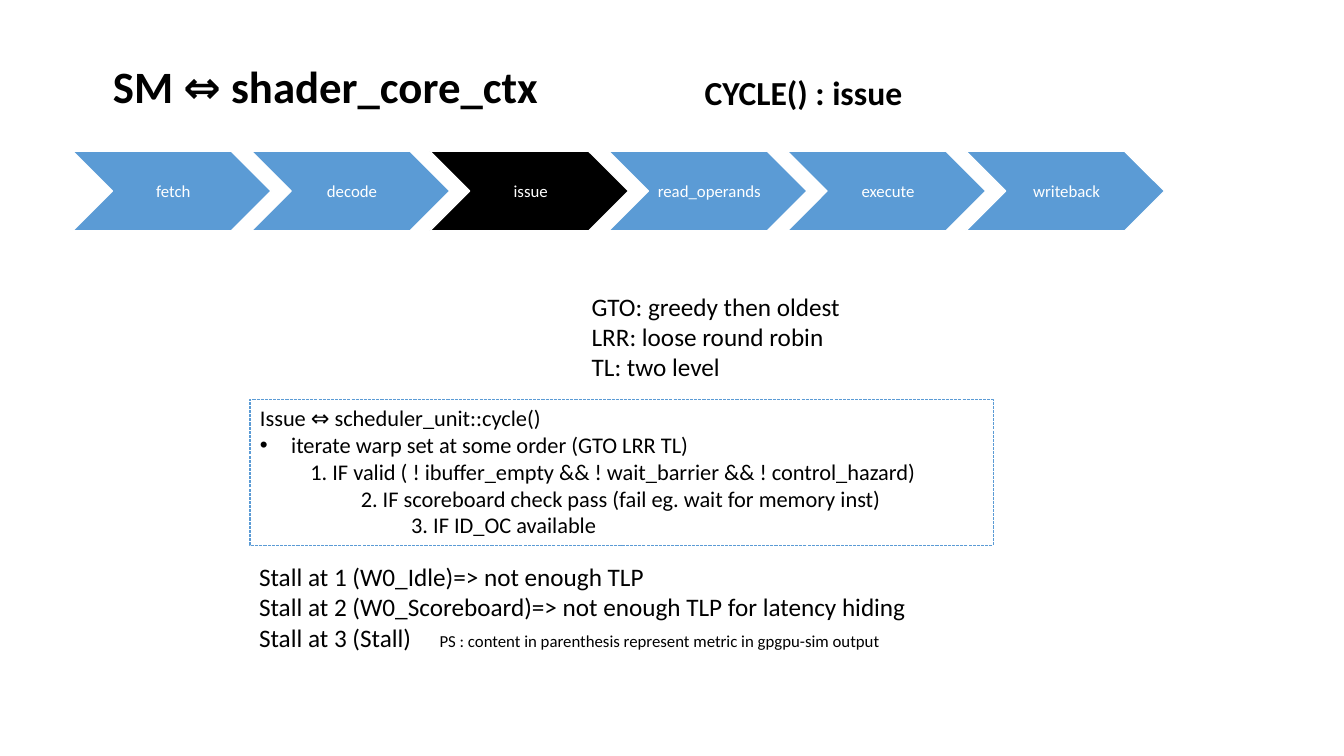
from pptx import Presentation, util as u
from pptx.dml.color import RGBColor
from pptx.enum import dml, shapes, text
from pptx.oxml.ns import qn
from lxml import etree

BLACK = RGBColor(0x00, 0x00, 0x00)
WHITE = RGBColor(0xFF, 0xFF, 0xFF)
BLUE = RGBColor(0x5B, 0x9B, 0xD5)
FONT = "Calibri"

STAGES = ["fetch", "decode", "issue", "read_operands", "execute", "writeback"]
CURRENT_STAGE = "issue"
POLICIES = ["GTO: greedy then oldest", "LRR: loose round robin", "TL: two level"]
# Each step: text, left margin in inches, whether it has a bullet
SCHEDULER_STEPS = [
    ("Issue ⇔ scheduler_unit::cycle()", 0, False),
    ("iterate warp set at some order (GTO LRR TL)", 0.31, True),
    ("1. IF valid ( ! ibuffer_empty && ! wait_barrier && ! control_hazard)", 0.5, False),
    ("2. IF scoreboard check pass (fail eg. wait for memory inst)", 1, False),
    ("3. IF ID_OC available", 1.5, False),
]
STALLS = [
    "Stall at 1 (W0_Idle)=> not enough TLP",
    "Stall at 2 (W0_Scoreboard)=> not enough TLP for latency hiding",
    "Stall at 3 (Stall)",
]
STALL_NOTE = "PS : content in parenthesis represent metric in gpgpu-sim output"


def place(sp, box):
    sp.left, sp.top, sp.width, sp.height = map(u.Inches, box)


def add_run(p, content, size=18, color=BLACK, bold=False):
    r = p.add_run()
    r.text = content
    r.font.name = FONT
    r.font.size = u.Pt(size)
    r.font.bold = bold
    r.font.color.rgb = color


def write(sp, lines, align=text.PP_ALIGN.LEFT, anchor=text.MSO_ANCHOR.TOP,
          insets=(0.1, 0.05, 0.1, 0.05), **font):
    """Fill a shape with one paragraph per line and return the paragraphs."""
    tf = sp.text_frame
    tf.word_wrap = True
    tf.auto_size = text.MSO_AUTO_SIZE.NONE
    tf.vertical_anchor = anchor
    tf.margin_left, tf.margin_top, tf.margin_right, tf.margin_bottom = map(u.Inches, insets)
    for i, line in enumerate(lines):
        p = tf.paragraphs[0] if i == 0 else tf.add_paragraph()
        p.alignment = align
        add_run(p, line, **font)
    return tf.paragraphs


def add_text(s, box, lines, **fmt):
    return write(s.shapes.add_textbox(*map(u.Inches, box)), lines, **fmt)


def add_block(s, kind, box, fill, line, width):
    sp = s.shapes.add_shape(kind, *map(u.Inches, box))
    sp.shadow.inherit = False
    sp.fill.solid()
    sp.fill.fore_color.rgb = fill
    sp.line.color.rgb = line
    sp.line.width = u.Pt(width)
    return sp


def indent(p, margin, bullet):
    pPr = p._p.get_or_add_pPr()
    pPr.set("marL", str(u.Inches(margin)))
    pPr.set("indent", str(u.Inches(-margin if bullet else 0)))
    if bullet:
        etree.SubElement(pPr, qn("a:buFont"), typeface="Arial")
        etree.SubElement(pPr, qn("a:buChar"), char="•")


def add_tab_stop(p, position):
    tabs = etree.SubElement(p._p.get_or_add_pPr(), qn("a:tabLst"))
    etree.SubElement(tabs, qn("a:tab"), pos=str(u.Inches(position)), algn="l")


def heading(s, title_box, topic_box):
    place(s.shapes.title, title_box)
    write(s.shapes.title, ["SM ⇔ shader_core_ctx"], size=32, bold=True)
    add_text(s, topic_box, ["CYCLE() : issue"], size=24, bold=True)


def pipeline(s, box, stage_width=1.97):
    left, top, width, height = box
    step = (width - stage_width) / (len(STAGES) - 1)
    for i, stage in enumerate(STAGES):
        fill = BLACK if stage == CURRENT_STAGE else BLUE
        sp = add_block(s, shapes.MSO_SHAPE.CHEVRON,
                       (left + i * step, top, stage_width, height), fill, WHITE, 1)
        write(sp, [stage], align=text.PP_ALIGN.CENTER, anchor=text.MSO_ANCHOR.MIDDLE,
              insets=(0.05, 0.02, 0.02, 0.02), size=12, color=WHITE)


def scheduler(s, box):
    sp = add_block(s, shapes.MSO_SHAPE.RECTANGLE, box, WHITE, BLUE, 0.75)
    sp.line.dash_style = dml.MSO_LINE.SQUARE_DOT
    paragraphs = write(sp, [step[0] for step in SCHEDULER_STEPS], size=16)
    for p, (_, margin, bullet) in zip(paragraphs, SCHEDULER_STEPS):
        indent(p, margin, bullet)


def stalls(s, box):
    last = add_text(s, box, STALLS, insets=(0.16, 0.05, 0.1, 0.05))[-1]
    add_tab_stop(last, 1.79)
    add_run(last, "\t" + STALL_NOTE, size=12)


def main():
    prs = Presentation()
    prs.slide_width, prs.slide_height = u.Inches(13.33), u.Inches(7.5)
    s = prs.slides.add_slide(prs.slide_layouts[5])
    heading(s, (1.02, 0.53, 5.11, 0.64), (6.89, 0.66, 3.15, 0.5))
    pipeline(s, (0.72, 1.5, 10.83, 0.79))
    scheduler(s, (2.48, 3.96, 7.37, 1.45))
    add_text(s, (5.77, 2.84, 2.86, 1.01), POLICIES)
    stalls(s, (2.41, 5.52, 7.23, 1.01))
    prs.save("out.pptx")


if __name__ == "__main__":
    main()
